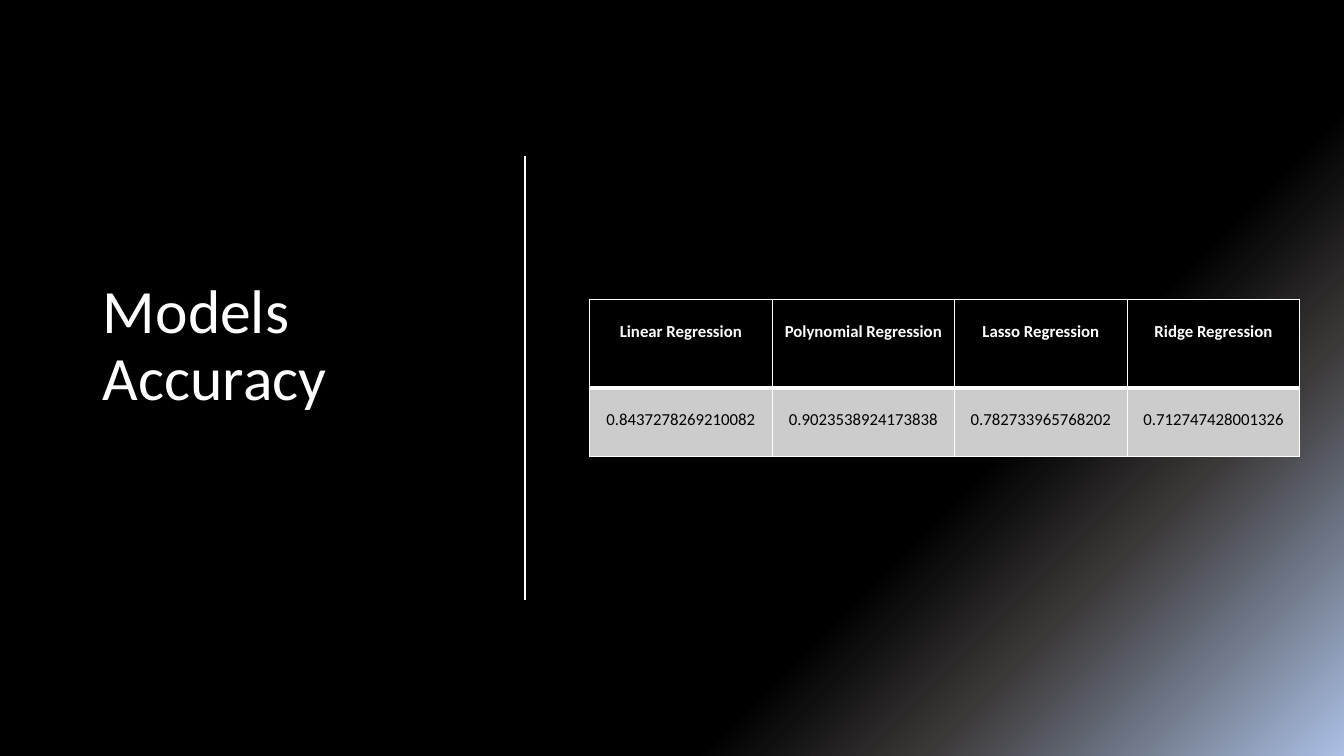
import pptx
import pptx.util
import pptx.dml.color
import pptx.enum.shapes
import pptx.enum.text
import pptx.oxml.ns
from lxml import etree

Cm = pptx.util.Cm
Pt = pptx.util.Pt
qn = pptx.oxml.ns.qn
ALIGN = pptx.enum.text.PP_ALIGN
ANCHOR = pptx.enum.text.MSO_ANCHOR


def color(code):
    return pptx.dml.color.RGBColor.from_string(code)


def apply(item, values):
    for name, value in values.items():
        setattr(item, name, value)


class Deck:
    face = "Calibri"
    white = "FFFFFF"
    black = "000000"
    gray = "CCCCCC"

    def __init__(self, width, height):
        self.file = pptx.Presentation()
        apply(self.file, {"slide_width": Cm(width), "slide_height": Cm(height)})
        self.slide = self.file.slides.add_slide(self.file.slide_layouts[5])

    def font(self, para, size, code, bold=False):
        for run in para.runs:
            apply(run.font, {"name": self.face, "size": Pt(size), "bold": bold})
            run.font.color.rgb = color(code)

    def back(self, stops, angle):
        fill = self.slide.background.fill
        fill.gradient()
        grad = self.slide.background._cSld.find(".//" + qn("a:gradFill"))
        chain = grad.find(qn("a:gsLst"))
        for old in list(chain):
            chain.remove(old)
        for place, code in stops:
            stop = etree.SubElement(chain, qn("a:gs"), pos=str(place * 1000))
            etree.SubElement(stop, qn("a:srgbClr"), val=code)
        grad.find(qn("a:lin")).set("ang", str(angle * 60000))

    def title(self, text, left, top, width, height):
        shape = self.slide.shapes.title
        apply(shape, {"left": Cm(left), "top": Cm(top),
                      "width": Cm(width), "height": Cm(height)})
        frame = shape.text_frame
        apply(frame, {"text": text, "word_wrap": True,
                      "vertical_anchor": ANCHOR.BOTTOM,
                      "auto_size": pptx.enum.text.MSO_AUTO_SIZE.NONE})
        para = frame.paragraphs[0]
        apply(para, {"alignment": ALIGN.LEFT, "line_spacing": 0.9})
        self.font(para, 44, self.white)

    def rule(self, x, top, bottom):
        line = self.slide.shapes.add_connector(
            pptx.enum.shapes.MSO_CONNECTOR.STRAIGHT,
            Cm(x), Cm(top), Cm(x), Cm(bottom))
        line.line.width = Pt(1.25)
        line.line.color.rgb = color(self.white)
        etree.SubElement(line._element.spPr, qn("a:effectLst"))

    def border(self, cell, widths):
        props = cell._tc.get_or_add_tcPr()
        for side, width in widths.items():
            line = etree.SubElement(props, qn("a:ln" + side), w=str(Pt(width)))
            fill = etree.SubElement(line, qn("a:solidFill"))
            etree.SubElement(fill, qn("a:srgbClr"), val=self.white)

    def cell(self, cell, text, head):
        self.border(cell, {"L": 1, "R": 1, "T": 1 if head else 3,
                           "B": 3 if head else 1})
        cell.fill.solid()
        cell.fill.fore_color.rgb = color(self.black if head else self.gray)
        apply(cell, {"text": text, "vertical_anchor": ANCHOR.TOP,
                     "margin_left": Cm(0.1), "margin_right": Cm(0.1),
                     "margin_top": Cm(0.56), "margin_bottom": Cm(0.05)})
        para = cell.text_frame.paragraphs[0]
        para.alignment = ALIGN.CENTER
        self.font(para, 12, self.white if head else self.black, head)

    def table(self, rows, left, top, widths, heights):
        grid = self.slide.shapes.add_table(
            len(rows), len(widths), Cm(left), Cm(top),
            Cm(sum(widths)), Cm(sum(heights))).table
        for col, width in zip(grid.columns, widths):
            col.width = Cm(width)
        for i, (row, height) in enumerate(zip(rows, heights)):
            grid.rows[i].height = Cm(height)
            for j, text in enumerate(row):
                self.cell(grid.cell(i, j), text, i == 0)


def main():
    deck = Deck(33.87, 19.05)

    # Background
    deck.back([(69, "000000"), (80, "3B3838"), (100, "ABC0E4")], 45)

    # Title and divider
    deck.title("Models Accuracy", 2.34, 2.29, 9.22, 8.26)
    deck.rule(13.23, 3.94, 15.11)

    # Accuracy of each model
    scores = {
        "Linear Regression": "0.8437278269210082",
        "Polynomial Regression": "0.9023538924173838",
        "Lasso Regression": "0.782733965768202",
        "Ridge Regression": "0.712747428001326",
    }
    deck.table([list(scores), list(scores.values())], 14.86, 7.54,
               [4.6, 4.6, 4.35, 4.35], [2.23, 1.73])

    deck.file.save("out.pptx")


if __name__ == "__main__":
    main()
